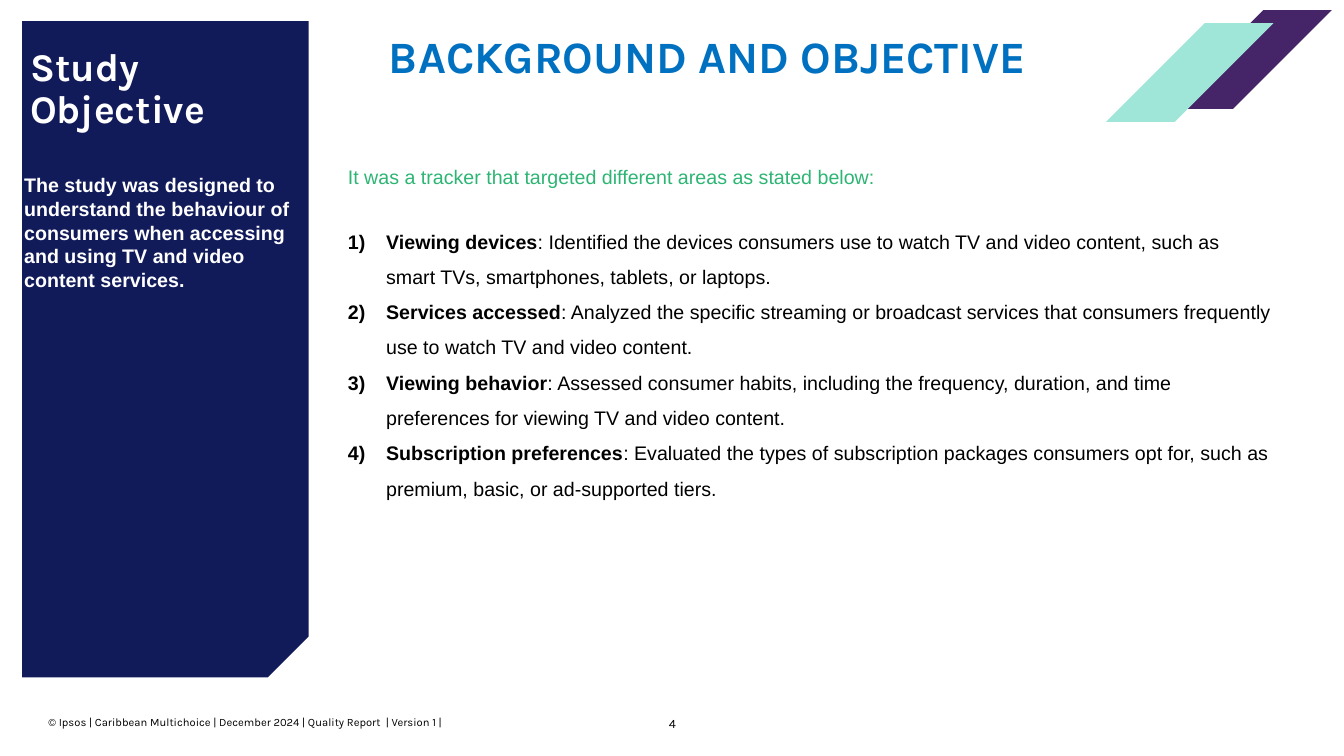
"""Build the background and objective slide of a study report."""
from dataclasses import dataclass

from lxml import etree
from pptx import Presentation
from pptx.dml.color import RGBColor
from pptx.enum.shapes import MSO_SHAPE
from pptx.enum.text import MSO_ANCHOR, MSO_AUTO_SIZE, PP_ALIGN
from pptx.oxml.ns import qn
from pptx.util import Inches, Pt

SNIPPED = MSO_SHAPE.SNIP_1_RECTANGLE
TOP, BOTTOM = MSO_ANCHOR.TOP, MSO_ANCHOR.BOTTOM
LEFT, CENTER = PP_ALIGN.LEFT, PP_ALIGN.CENTER
NO_AUTOFIT = MSO_AUTO_SIZE.NONE


@dataclass(frozen=True)
class Theme:
    heading: str = "Karla"
    body: str = "Arial"
    blue: str = "0070C0"
    navy: str = "121B5A"
    purple: str = "452567"
    mint: str = "9FE5D8"
    green: str = "2DB574"
    white: str = "FFFFFF"
    black: str = "000000"
    title_size: int = 32
    panel_size: int = 28
    text_size: int = 14
    number_size: int = 9
    footer_size: int = 8


theme = Theme()


def place(box, left, top, width, height, anchor=TOP):
    """Position a text shape and clear its margins."""
    box.left, box.top = Inches(left), Inches(top)
    box.width, box.height = Inches(width), Inches(height)
    frame = box.text_frame
    frame.word_wrap = True
    frame.auto_size = NO_AUTOFIT
    frame.vertical_anchor = anchor
    frame.margin_left = frame.margin_top = frame.margin_right = frame.margin_bottom = 0
    return frame


def style(para, font, size, color, bold=False, align=LEFT, spacing=1.0):
    """Format a whole paragraph."""
    para.alignment = align
    para.line_spacing = spacing
    para.space_before = para.space_after = Pt(0)
    para.font.name = font
    para.font.size = Pt(size)
    para.font.bold = bold
    para.font.color.rgb = RGBColor.from_string(color)


deck = Presentation()
deck.slide_width, deck.slide_height = Inches(13.33), Inches(7.5)
page = deck.slides.add_slide(deck.slide_layouts[1])
title, objectives = page.placeholders

frame = place(title, 3.79, 0.34, 6.46, 0.52)
frame.text = "BACKGROUND AND OBJECTIVE"
style(frame.paragraphs[0], theme.heading, theme.title_size, theme.blue, True, CENTER, 0.9)

SLANT, BAND = 0.98, 0.68
for left, top, color in [(11.55, 0.1, theme.purple), (10.97, 0.23, theme.mint)]:
    builder = page.shapes.build_freeform(Inches(left + SLANT), Inches(top))
    builder.add_line_segments([
        (Inches(left + SLANT + BAND), Inches(top)),
        (Inches(left + BAND), Inches(top + SLANT)),
        (Inches(left), Inches(top + SLANT)),
    ])
    stripe = builder.convert_to_shape()
    stripe.shadow.inherit = False
    stripe.fill.solid()
    stripe.fill.fore_color.rgb = RGBColor.from_string(color)
    stripe.line.fill.background()

panel = page.shapes.add_shape(SNIPPED, Inches(0.22), Inches(0.21), Inches(2.84), Inches(6.51))
panel.adjustments[0] = 0.142
panel._element.spPr.xfrm.set("flipV", "1")
panel.shadow.inherit = False
panel.fill.solid()
panel.fill.fore_color.rgb = RGBColor.from_string(theme.navy)
panel.line.fill.background()

labels = [
    ("Study Objective", (0.3, 0.47, 2.68, 0.78, TOP),
     (theme.heading, theme.panel_size, theme.white, True, LEFT, 0.9)),
    ("The study was designed to understand the behaviour of consumers when accessing "
     "and using TV and video content services.", (0.24, 1.72, 2.74, 1.18, TOP),
     (theme.body, theme.text_size, theme.white, True)),
    ("It was a tracker that targeted different areas as stated below:",
     (3.45, 1.6, 9.19, 0.25, TOP),
     (theme.body, theme.text_size, theme.green, False, LEFT, 1.15)),
    ("© Ipsos | Caribbean Multichoice | December 2024 | Quality Report  | Version 1 |",
     (0.48, 7.1, 5.11, 0.13, BOTTOM),
     (theme.heading, theme.footer_size, theme.black)),
    ("4", (6.4, 7.09, 0.54, 0.15, TOP),
     (theme.heading, theme.number_size, theme.black, False, CENTER, 1.1)),
]
for text, position, look in labels:
    frame = place(page.shapes.add_textbox(0, 0, 0, 0), *position)
    frame.text = text
    style(frame.paragraphs[0], *look)

areas = [
    ("Viewing devices", "Identified the devices consumers use to watch TV and video content, "
     "such as smart TVs, smartphones, tablets, or laptops."),
    ("Services accessed", "Analyzed the specific streaming or broadcast services that consumers "
     "frequently use to watch TV and video content."),
    ("Viewing behavior", "Assessed consumer habits, including the frequency, duration, and time "
     "preferences for viewing TV and video content."),
    ("Subscription preferences", "Evaluated the types of subscription packages consumers opt for, "
     "such as premium, basic, or ad-supported tiers."),
]
INDENT = Inches(0.38)
frame = place(objectives, 3.45, 2.16, 9.19, 2.79)
for index, (area, detail) in enumerate(areas):
    para = frame.add_paragraph() if index else frame.paragraphs[0]
    properties = para._p.get_or_add_pPr()
    properties.set("marL", str(INDENT))
    properties.set("indent", str(-INDENT))
    etree.SubElement(properties, qn("a:buFont"), typeface="+mj-lt")
    etree.SubElement(properties, qn("a:buAutoNum"), type="arabicParenR")
    style(para, theme.body, theme.text_size, theme.black, spacing=1.5)
    span = para.add_run()
    span.text = area
    span.font.bold = True
    para.add_run().text = f": {detail}"

deck.save("out.pptx")
